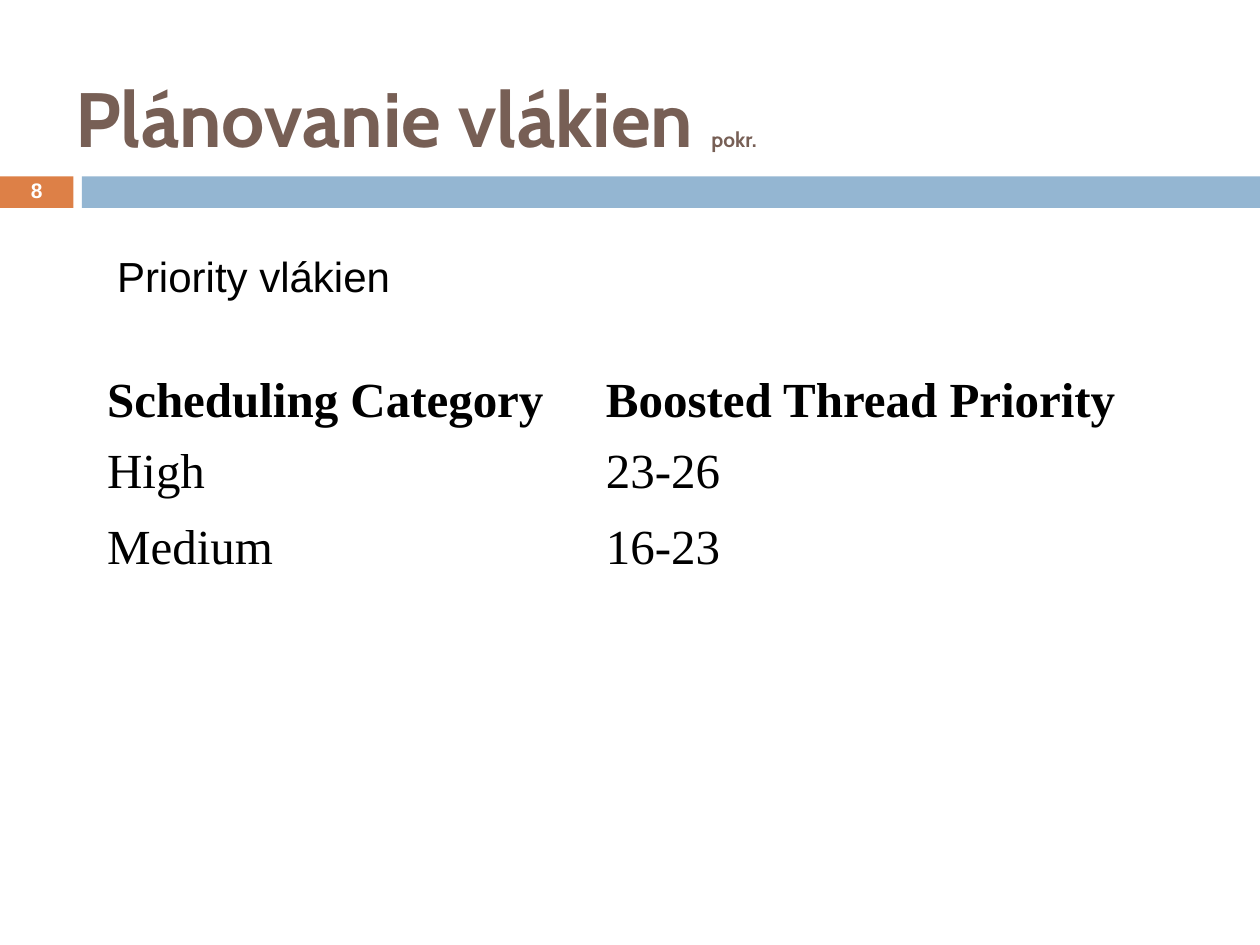
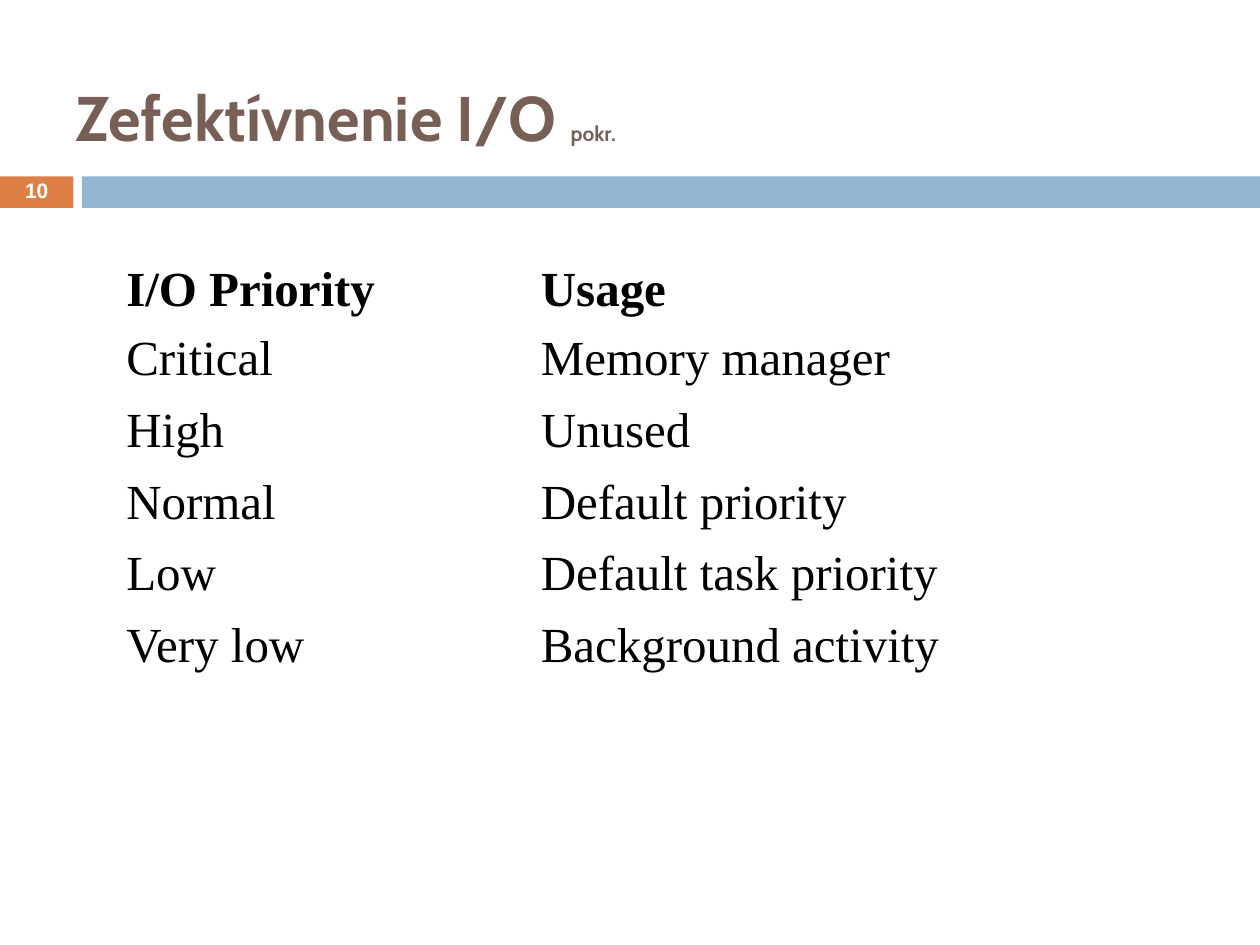
from pptx import Presentation
from pptx.dml.color import RGBColor
from pptx.enum.shapes import MSO_SHAPE
from pptx.enum.text import MSO_ANCHOR, PP_ALIGN
from pptx.util import Pt

RECTANGLE = MSO_SHAPE.RECTANGLE
TOP, MIDDLE = MSO_ANCHOR.TOP, MSO_ANCHOR.MIDDLE
CENTER, JUSTIFY, LEFT = PP_ALIGN.CENTER, PP_ALIGN.JUSTIFY, PP_ALIGN.LEFT

BROWN, ORANGE, BLUE = "775F55", "DD8047", "94B6D2"
BLACK, WHITE = "000000", "FFFFFF"
TITLE_FONT, BODY_FONT, TABLE_FONT = "Cabin", "Arial", "Times New Roman"

SLIDE_WIDTH, SLIDE_HEIGHT = 720, 540
BAND_TOP, BAND_HEIGHT = 100.8, 18
NUMBER_WIDTH, BAND_LEFT = 42, 46.8

SLIDES = [
    {
        "number": 8,
        "title": "Plánovanie vlákien ",
        "title_size": 44,
        "subtitle": "Priority vlákien",
        "table_corner": (54, 207.4),
        "column_widths": (285.1, 321.8),
        "row_height": 43.4,
        "rows": [
            ("Scheduling Category", "Boosted Thread Priority"),
            ("High", "23-26"),
            ("Medium", "16-23"),
        ],
    },
    {
        "number": 10,
        "title": "Zefektívnenie I/O ",
        "title_size": 36,
        "table_corner": (65, 145.4),
        "column_widths": (236.9, 376.6),
        "row_height": 40.9,
        "rows": [
            ("I/O Priority", "Usage"),
            ("Critical", "Memory manager"),
            ("High", "Unused"),
            ("Normal", "Default priority"),
            ("Low", "Default task priority"),
            ("Very low", "Background activity"),
        ],
    },
]
CONTINUED = "pokr."


def rgb(hex_colour):
    return RGBColor.from_string(hex_colour)


def style_run(run, font, size, colour, bold=False):
    run.font.name = font
    run.font.size = Pt(size)
    run.font.color.rgb = rgb(colour)
    run.font.bold = bold


def add_text(slide, box, text, font, size, colour, bold=False, anchor=TOP, align=LEFT):
    """Add a one-paragraph text box and return its paragraph."""
    frame = slide.shapes.add_textbox(*map(Pt, box)).text_frame
    frame.word_wrap = True
    frame.vertical_anchor = anchor
    frame.text = text
    paragraph = frame.paragraphs[0]
    paragraph.alignment = align
    style_run(paragraph.runs[0], font, size, colour, bold)
    return paragraph


def add_band(slide, left, width, colour):
    band = slide.shapes.add_shape(
        RECTANGLE, Pt(left), Pt(BAND_TOP), Pt(width), Pt(BAND_HEIGHT))
    band.shadow.inherit = False
    band.fill.solid()
    band.fill.fore_color.rgb = rgb(colour)
    band.line.fill.background()


def add_frame(slide, content):
    """Add what every slide shares: bands, title and slide number."""
    add_band(slide, 0, NUMBER_WIDTH, ORANGE)
    add_band(slide, BAND_LEFT, SLIDE_WIDTH - BAND_LEFT, BLUE)
    title = add_text(slide, (36, 21.6, 648, 90), content["title"], TITLE_FONT,
                     content["title_size"], BROWN, bold=True, anchor=MIDDLE)
    continued = title.add_run()
    continued.text = CONTINUED
    style_run(continued, TITLE_FONT, 12, BROWN, bold=True)
    number = add_text(slide, (0, 100, NUMBER_WIDTH, 19.5), str(content["number"]),
                      BODY_FONT, 12, WHITE, bold=True, anchor=MIDDLE, align=CENTER)
    number.line_spacing = 0.8


def add_priority_table(slide, content):
    rows, widths = content["rows"], content["column_widths"]
    left, top = content["table_corner"]
    row_height = content["row_height"]
    table = slide.shapes.add_table(
        len(rows), len(widths), Pt(left), Pt(top),
        Pt(sum(widths)), Pt(row_height * len(rows))).table
    table.horz_banding = False
    for column, width in zip(table.columns, widths):
        column.width = Pt(width)
    for row_index, labels in enumerate(rows):
        is_header = row_index == 0
        table.rows[row_index].height = Pt(row_height)
        for column_index, label in enumerate(labels):
            cell = table.cell(row_index, column_index)
            cell.fill.background()
            cell.vertical_anchor = MIDDLE if is_header else TOP
            cell.text_frame.text = label
            paragraph = cell.text_frame.paragraphs[0]
            paragraph.alignment = JUSTIFY
            style_run(paragraph.runs[0], TABLE_FONT, 28, BLACK, bold=is_header)


def main():
    deck = Presentation()
    deck.slide_width, deck.slide_height = Pt(SLIDE_WIDTH), Pt(SLIDE_HEIGHT)
    blank = deck.slide_layouts[6]
    for content in SLIDES:
        slide = deck.slides.add_slide(blank)
        add_frame(slide, content)
        add_priority_table(slide, content)
        if "subtitle" in content:
            add_text(slide, (59.8, 139.7, 311.8, 36), content["subtitle"],
                     BODY_FONT, 24, BLACK)
    deck.save("out.pptx")


if __name__ == "__main__":
    main()
